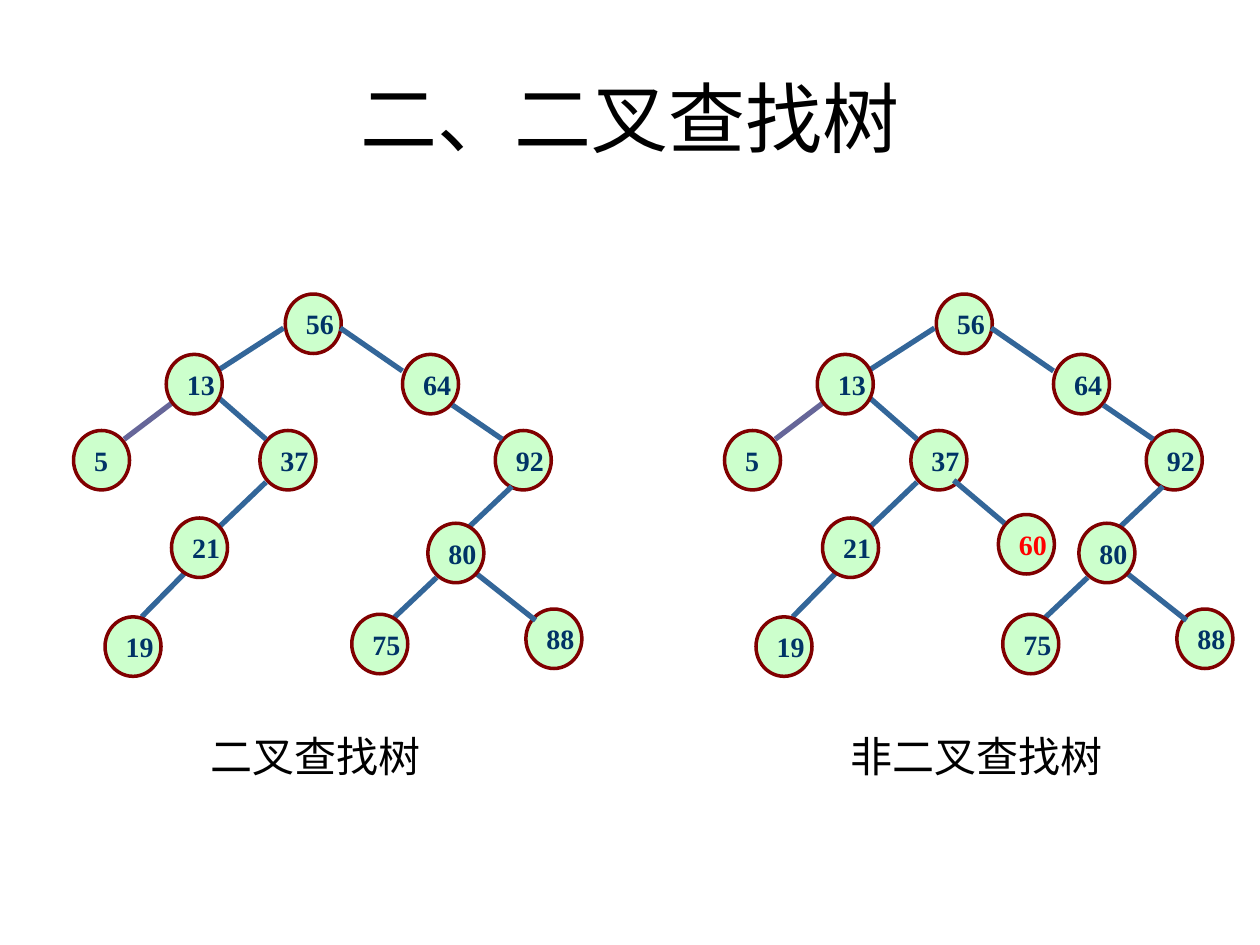
from pptx import Presentation
from pptx.dml.color import RGBColor
from pptx.enum.shapes import MSO_CONNECTOR, MSO_SHAPE
from pptx.enum.text import MSO_ANCHOR, MSO_AUTO_SIZE, PP_ALIGN
from pptx.oxml.ns import qn
from pptx.util import Pt
from lxml import etree

OVAL = MSO_SHAPE.OVAL
LINE = MSO_CONNECTOR.STRAIGHT
MIDDLE = MSO_ANCHOR.MIDDLE
GROW = MSO_AUTO_SIZE.SHAPE_TO_FIT_TEXT
LEFT, CENTER = PP_ALIGN.LEFT, PP_ALIGN.CENTER

NAVY, BLUE, PURPLE, RED = "003366", "336699", "666699", "FF0000"
GREEN, MAROON, BLACK = "CCFFCC", "800000", "000000"
NODE_W, NODE_H = 32, 34

# Node corners and edge ends, relative to the corner of the tree
BACK = [("56", 121, 0), ("64", 188, 34.5), ("5", 0, 78), ("92", 241, 78),
        ("37", 106.5, 78), ("88", 258.5, 180)]
FRONT = [("19", 18, 184.5), ("80", 202.5, 131), ("21", 56, 128),
         ("13", 53, 34.5), ("75", 159, 183)]
EDGES = [
    (120, 19.5, 82, 44, BLUE),        # 56 - 13
    (56, 62.5, 29, 83, PURPLE),       # 13 - 5
    (152.5, 19.5, 188, 44, BLUE),     # 56 - 64
    (82, 58.5, 110, 83, BLUE),        # 13 - 37
    (110, 107.5, 75.5, 140.5, BLUE),  # 37 - 21
    (216.5, 63.5, 245, 83, BLUE),     # 64 - 92
    (250.5, 110, 223, 136, BLUE),     # 92 - 80
    (230.5, 160, 264, 186.5, BLUE),   # 80 - 88
    (67.5, 155.5, 39, 184.5, BLUE),   # 21 - 19
    (207.5, 162, 180, 188, BLUE),     # 80 - 75
]
ODD_NODE = ("60", 156.5, 126)
ODD_EDGE = (131, 106.5, 160, 131, BLUE)


def rgb(code):
    return RGBColor.from_string(code)


def write(frame, text, size, font, color, align, bold=False):
    frame.text = text
    para = frame.paragraphs[0]
    para.alignment = align
    style = para.runs[0].font
    style.size = Pt(size)
    style.name = font
    style.bold = bold
    style.color.rgb = rgb(color)
    return para


def add_node(group, left, top, node, color=NAVY):
    text, x, y = node
    oval = group.shapes.add_shape(OVAL, Pt(left + x), Pt(top + y),
                                  Pt(NODE_W), Pt(NODE_H))
    oval.shadow.inherit = False
    oval.fill.solid()
    oval.fill.fore_color.rgb = rgb(GREEN)
    oval.line.color.rgb = rgb(MAROON)
    oval.line.width = Pt(2)
    frame = oval.text_frame
    frame.word_wrap = False
    frame.vertical_anchor = MIDDLE
    write(frame, text, 16, "Times New Roman", color, LEFT, True)


def add_edge(group, left, top, edge):
    x1, y1, x2, y2, color = edge
    line = group.shapes.add_connector(LINE, Pt(left + x1), Pt(top + y1),
                                      Pt(left + x2), Pt(top + y2))
    line.line.color.rgb = rgb(color)
    line.line.width = Pt(3)
    etree.SubElement(line._element.spPr, qn("a:effectLst"))


def add_tree(slide, left, top, odd=False):
    group = slide.shapes.add_group_shape()
    for node in BACK:
        add_node(group, left, top, node)
    for edge in EDGES:
        add_edge(group, left, top, edge)
    for node in FRONT:
        add_node(group, left, top, node)
    # The node that breaks the search order
    if odd:
        add_node(group, left, top, ODD_NODE, RED)
        add_edge(group, left, top, ODD_EDGE)


def add_title(slide, left, top, width, height, text):
    box = slide.shapes.add_textbox(Pt(left), Pt(top), Pt(width), Pt(height))
    frame = box.text_frame
    frame.word_wrap = True
    frame.vertical_anchor = MIDDLE
    write(frame, text, 44, "Arial", BLACK, CENTER)


def add_caption(slide, left, top, width, height, text):
    box = slide.shapes.add_textbox(Pt(left), Pt(top), Pt(width), Pt(height))
    frame = box.text_frame
    frame.word_wrap = True
    frame.auto_size = GROW
    para = write(frame, text, 24, "Cabin", BLACK, CENTER)
    para.space_before = Pt(15)


def main():
    deck = Presentation()
    deck.slide_width, deck.slide_height = Pt(720), Pt(540)
    slide = deck.slides.add_slide(deck.slide_layouts[6])

    add_title(slide, 36, 21.6, 648, 90, "二、二叉查找树")

    # Search tree on the left, broken one on the right
    add_tree(slide, 42, 168)
    add_tree(slide, 414, 168, odd=True)

    add_caption(slide, 96, 414, 168, 36, "二叉查找树")
    add_caption(slide, 474, 414, 168, 36, "非二叉查找树")
    deck.save("out.pptx")


if __name__ == "__main__":
    main()
